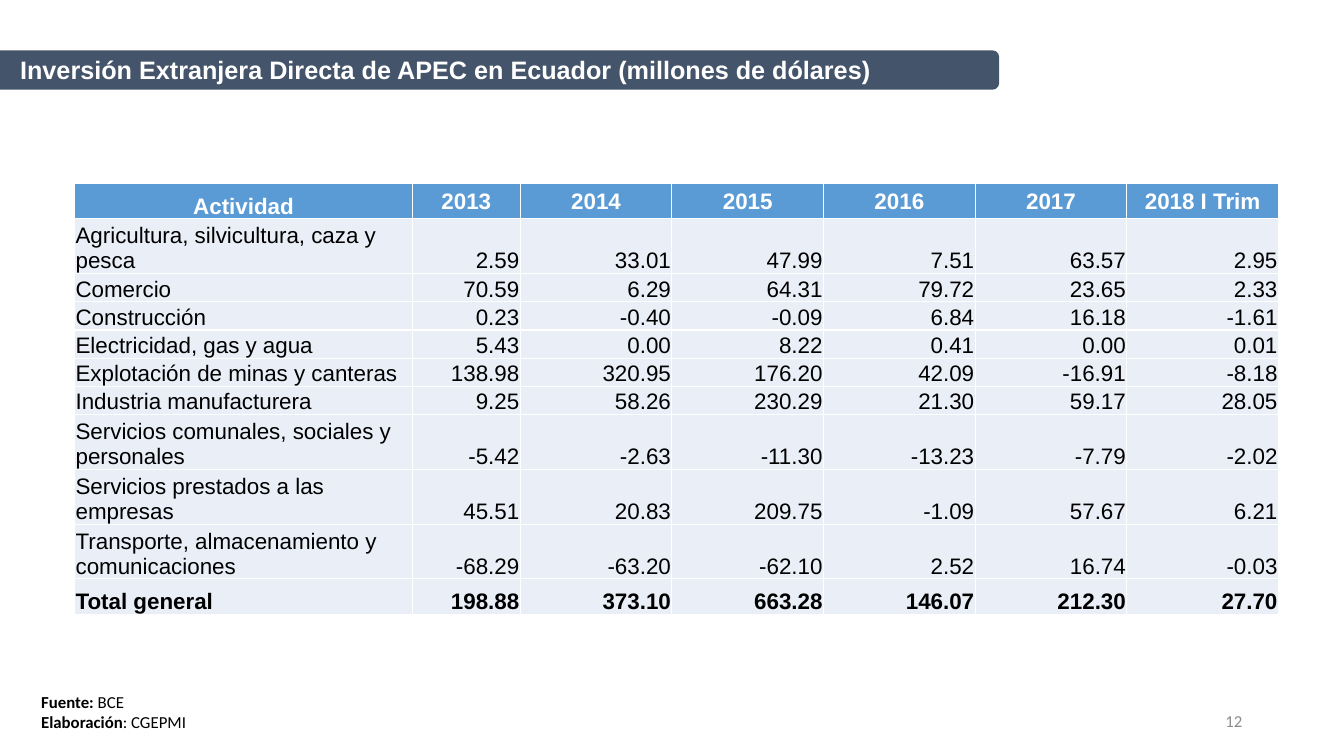
from lxml import etree
from pptx import Presentation
from pptx import util as u
from pptx.dml.color import RGBColor
from pptx.enum import shapes, text
from pptx.oxml import ns

# Content
TITLE = "Inversión Extranjera Directa de APEC en Ecuador (millones de dólares)"
HEADER = ("Actividad", "2013", "2014", "2015", "2016", "2017", "2018 I Trim")
ACTIVITIES = [
    ("Agricultura, silvicultura, caza y pesca", "2.59", "33.01", "47.99", "7.51", "63.57", "2.95"),
    ("Comercio", "70.59", "6.29", "64.31", "79.72", "23.65", "2.33"),
    ("Construcción", "0.23", "-0.40", "-0.09", "6.84", "16.18", "-1.61"),
    ("Electricidad, gas y agua", "5.43", "0.00", "8.22", "0.41", "0.00", "0.01"),
    ("Explotación de minas y canteras", "138.98", "320.95", "176.20", "42.09", "-16.91", "-8.18"),
    ("Industria manufacturera", "9.25", "58.26", "230.29", "21.30", "59.17", "28.05"),
    ("Servicios comunales, sociales y personales", "-5.42", "-2.63", "-11.30", "-13.23", "-7.79", "-2.02"),
    ("Servicios prestados a las empresas", "45.51", "20.83", "209.75", "-1.09", "57.67", "6.21"),
    ("Transporte, almacenamiento y comunicaciones", "-68.29", "-63.20", "-62.10", "2.52", "16.74", "-0.03"),
]
TOTAL = ("Total general", "198.88", "373.10", "663.28", "146.07", "212.30", "27.70")
CREDITS = [
    [("Fuente: ", True), ("BCE", False)],
    [("Elaboración", True), (": CGEPMI", False)],
]
PAGE_NUMBER = "12"

# Look
WHITE, BLACK, GREY = "FFFFFF", "000000", "8C8C8C"
NAVY, BLUE, PALE = "44546A", "5B9BD5", "EAEFF7"
LEFT, CENTER, RIGHT = text.PP_ALIGN.LEFT, text.PP_ALIGN.CENTER, text.PP_ALIGN.RIGHT
TOP, MIDDLE, BOTTOM = text.MSO_ANCHOR.TOP, text.MSO_ANCHOR.MIDDLE, text.MSO_ANCHOR.BOTTOM

# Table measures in inches
TABLE_LEFT, TABLE_TOP, TABLE_WIDTH = 0.74, 1.82, 11.94
NAME_WIDTH, FIRST_YEAR_WIDTH = 3.35, 1.07
EDGE_ROW, LINE_ROW, WRAPPED_ROW = 0.35, 0.28, 0.54
LINE_LETTERS = 32


def color(code):
    return RGBColor.from_string(code)


def add_span(para, words, size, font, code, bold=False):
    span = para.add_run()
    span.text = words
    span.font.size = u.Pt(size)
    span.font.name = font
    span.font.bold = bold
    span.font.color.rgb = color(code)


def add_box(page, left, top, width, height, paragraphs, size, font, code,
            align=LEFT, anchor=TOP):
    box = page.shapes.add_textbox(*map(u.Inches, (left, top, width, height)))
    frame = box.text_frame
    frame.word_wrap = True
    frame.vertical_anchor = anchor
    for index, spans in enumerate(paragraphs):
        para = frame.add_paragraph() if index else frame.paragraphs[0]
        para.alignment = align
        for words, bold in spans:
            add_span(para, words, size, font, code, bold)
    return box


def add_borders(cell, code, points):
    properties = cell._tc.get_or_add_tcPr()
    for position, side in enumerate(("lnL", "lnR", "lnT", "lnB")):
        line = etree.Element(ns.qn("a:" + side), w=str(u.Pt(points)))
        fill = etree.SubElement(line, ns.qn("a:solidFill"))
        etree.SubElement(fill, ns.qn("a:srgbClr"), val=code)
        properties.insert(position, line)


def fill_cell(cell, words, fill, code, bold, align, anchor):
    cell.fill.solid()
    cell.fill.fore_color.rgb = color(fill)
    cell.margin_left = cell.margin_right = cell.margin_top = u.Inches(0.01)
    cell.margin_bottom = 0
    cell.vertical_anchor = anchor
    para = cell.text_frame.paragraphs[0]
    para.alignment = align
    add_span(para, words, 16, "Arial", code, bold)
    add_borders(cell, WHITE, 1)


def add_investment_table(page):
    rows = [HEADER, *ACTIVITIES, TOTAL]
    heights = [EDGE_ROW]
    heights += [WRAPPED_ROW if len(row[0]) > LINE_LETTERS else LINE_ROW for row in ACTIVITIES]
    heights.append(EDGE_ROW)
    other_years = len(HEADER) - 2
    year_width = (TABLE_WIDTH - NAME_WIDTH - FIRST_YEAR_WIDTH) / other_years
    widths = [NAME_WIDTH, FIRST_YEAR_WIDTH] + [year_width] * other_years

    table = page.shapes.add_table(
        len(rows), len(HEADER), u.Inches(TABLE_LEFT), u.Inches(TABLE_TOP),
        u.Inches(TABLE_WIDTH), u.Inches(sum(heights))).table
    table.horz_banding = False
    for column, width in zip(table.columns, widths):
        column.width = u.Inches(width)
    for r, row in enumerate(rows):
        table.rows[r].height = u.Inches(heights[r])
        for c, words in enumerate(row):
            if row is HEADER:
                style = (BLUE, WHITE, True, CENTER, MIDDLE if c else BOTTOM)
            else:
                style = (PALE, BLACK, row is TOTAL, RIGHT if c else LEFT, BOTTOM)
            fill_cell(table.cell(r, c), words, *style)


def add_title(page):
    # Bar turned a quarter so its rounded corners face right
    bar = page.shapes.add_shape(
        shapes.MSO_SHAPE.ROUND_2_SAME_RECTANGLE,
        u.Inches(4.76), u.Inches(-4.26), u.Inches(0.39), u.Inches(9.91))
    bar.rotation = 90
    bar.shadow.inherit = False
    bar.fill.solid()
    bar.fill.fore_color.rgb = color(NAVY)
    bar.line.fill.background()

    box = add_box(page, 0.12, 0.5, 10.23, 0.68, [[(TITLE, True)]], 18, "Arial", WHITE)
    frame = box.text_frame
    frame.margin_left = frame.margin_right = u.Inches(0.08)
    frame.margin_top = frame.margin_bottom = u.Inches(0.04)


def main():
    deck = Presentation()
    deck.slide_width, deck.slide_height = u.Inches(13.33), u.Inches(7.5)
    page = deck.slides.add_slide(deck.slide_layouts[6])

    # Credits and page number
    add_box(page, 0.31, 6.81, 5.69, 0.71, CREDITS, 12, "Calibri", BLACK)
    add_box(page, 9.42, 6.95, 3, 0.4, [[(PAGE_NUMBER, False)]], 12, "Calibri", GREY,
            RIGHT, MIDDLE)

    # Table and title
    add_investment_table(page)
    add_title(page)
    deck.save("out.pptx")


if __name__ == "__main__":
    main()
